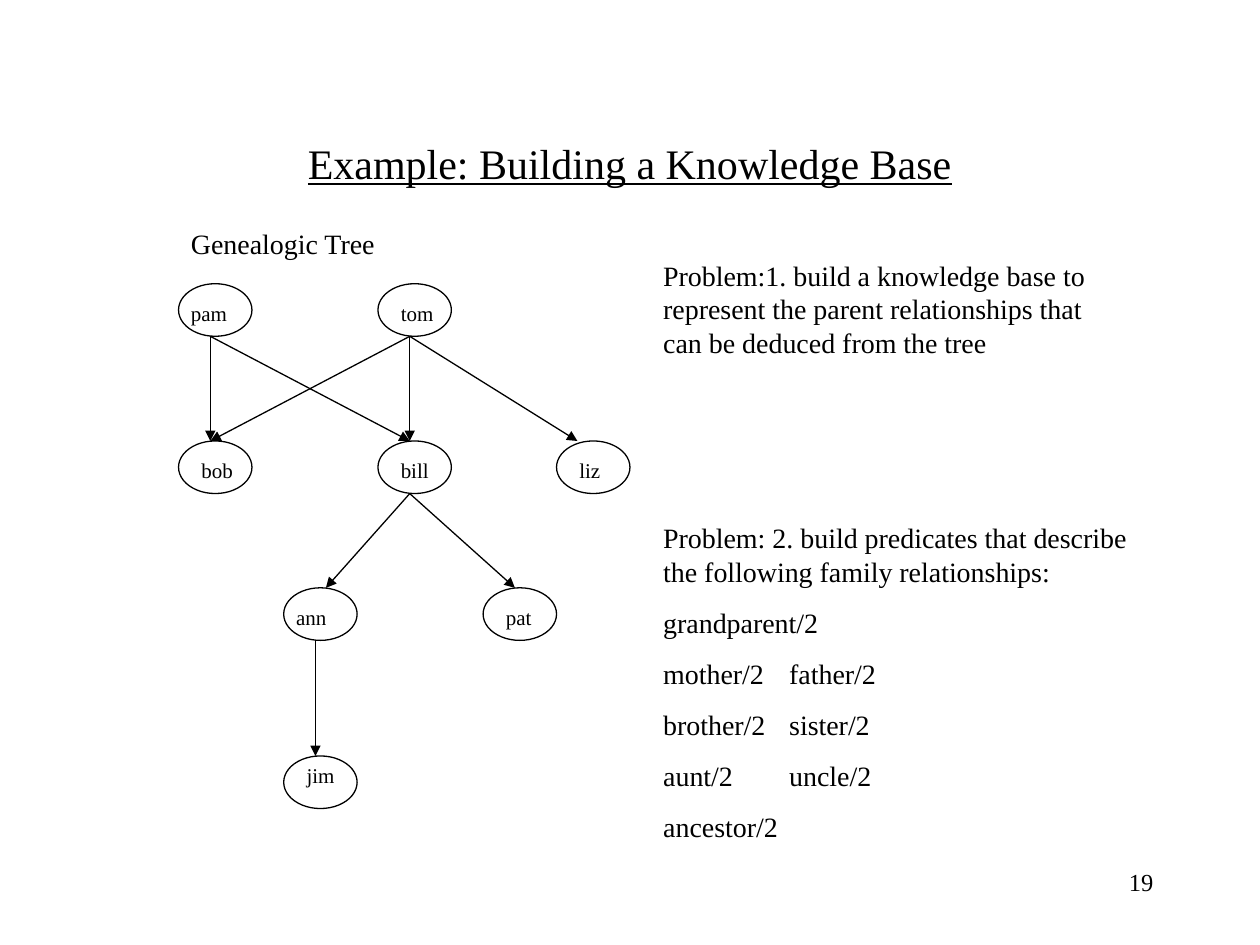
from dataclasses import dataclass

from lxml import etree
from pptx import Presentation
from pptx.dml.color import RGBColor
from pptx.enum.shapes import MSO_CONNECTOR, MSO_SHAPE
from pptx.enum.text import MSO_ANCHOR, MSO_AUTO_SIZE, PP_ALIGN
from pptx.oxml.ns import qn
from pptx.util import Cm, Pt

ELLIPSE = MSO_SHAPE.OVAL
STRAIGHT = MSO_CONNECTOR.STRAIGHT
MIDDLE = MSO_ANCHOR.MIDDLE
FIXED_SIZE = MSO_AUTO_SIZE.NONE
LEFT = PP_ALIGN.LEFT
CENTER = PP_ALIGN.CENTER
RIGHT = PP_ALIGN.RIGHT

COLORS = {"ink": "000000", "paper": "FFFFFF"}
FONT = "Times New Roman"
NODE_WIDTH, NODE_HEIGHT = 1.48, 1.06
LABEL_WIDTH, LABEL_HEIGHT = 1.27, 1.55
STEM = 0.64
LINE_WIDTH = 0.75


@dataclass(frozen=True)
class Person:
    name: str
    left: float
    top: float
    label_dx: float = 0.21
    label_dy: float = 0.21
    inlet: float = STEM


@dataclass(frozen=True)
class Passage:
    left: float
    top: float
    width: float
    height: float
    paragraphs: tuple[str, ...]
    size: float = 16
    align: PP_ALIGN = LEFT


GENERATIONS = (5.72, 8.89, 11.85, 15.24)

PEOPLE = (
    Person("pam", 3.6, GENERATIONS[0], label_dx=0),
    Person("tom", 7.62, GENERATIONS[0]),
    Person("bob", 3.6, GENERATIONS[1]),
    Person("bill", 7.62, GENERATIONS[1]),
    Person("liz", 11.22, GENERATIONS[1], inlet=0.42),
    Person("ann", 5.72, GENERATIONS[2], label_dx=0, inlet=0.85),
    Person("jim", 5.72, GENERATIONS[3], label_dy=0),
    Person("pat", 9.74, GENERATIONS[2]),
)

CHILDREN = {
    "pam": ("bob", "bill"),
    "tom": ("bob", "bill", "liz"),
    "bill": ("ann", "pat"),
    "ann": ("jim",),
}

PASSAGES = (
    Passage(3.6, 4.45, 8.26, 0.94, ("Genealogic Tree",)),
    Passage(13.12, 5.08, 9.74, 2.29, (
        "Problem:1. build a knowledge base to represent the parent "
        "relationships that can be deduced from the tree",
    )),
    Passage(13.12, 10.37, 9.95, 6.76, (
        "Problem: 2. build predicates that describe the following "
        "family relationships:",
        "grandparent/2",
        "mother/2\tfather/2",
        "brother/2\tsister/2",
        "aunt/2\tuncle/2",
        "ancestor/2",
    )),
    Passage(18.21, 17.36, 5.29, 1.27, ("19",), size=14, align=RIGHT),
)


def color(key: str) -> RGBColor:
    return RGBColor.from_string(COLORS[key])


def style_paragraph(paragraph, size: float, align: PP_ALIGN) -> None:
    paragraph.alignment = align
    paragraph.font.name = FONT
    paragraph.font.size = Pt(size)
    paragraph.font.color.rgb = color("ink")


def add_title(slide, text: str) -> None:
    title = slide.shapes.title
    title.left, title.top = Cm(1.9), Cm(1.69)
    title.width, title.height = Cm(21.59), Cm(3.18)
    frame = title.text_frame
    frame.text = text
    frame.auto_size = FIXED_SIZE
    frame.vertical_anchor = MIDDLE
    heading = frame.paragraphs[0]
    style_paragraph(heading, 24, CENTER)
    heading.font.underline = True


def add_passage(slide, passage: Passage) -> None:
    frame = slide.shapes.add_textbox(
        Cm(passage.left), Cm(passage.top), Cm(passage.width), Cm(passage.height)
    ).text_frame
    frame.word_wrap = True
    for index, text in enumerate(passage.paragraphs):
        paragraph = frame.add_paragraph() if index else frame.paragraphs[0]
        paragraph.text = text
        if index:
            paragraph.space_before = Pt(10)
        style_paragraph(paragraph, passage.size, passage.align)


def add_node(slide, person: Person) -> None:
    node = slide.shapes.add_shape(
        ELLIPSE, Cm(person.left), Cm(person.top), Cm(NODE_WIDTH), Cm(NODE_HEIGHT)
    )
    node.shadow.inherit = False
    node.fill.solid()
    node.fill.fore_color.rgb = color("paper")
    node.line.color.rgb = color("ink")
    node.line.width = Pt(LINE_WIDTH)


def add_label(slide, person: Person) -> None:
    add_passage(slide, Passage(
        person.left + person.label_dx, person.top + person.label_dy,
        LABEL_WIDTH, LABEL_HEIGHT, (person.name,), size=12,
    ))


def add_descent(slide, parent: Person, child: Person) -> None:
    arrow = slide.shapes.add_connector(
        STRAIGHT,
        Cm(parent.left + STEM), Cm(parent.top + NODE_HEIGHT),
        Cm(child.left + child.inlet), Cm(child.top),
    )
    arrow.line.color.rgb = color("ink")
    arrow.line.width = Pt(LINE_WIDTH)
    etree.SubElement(arrow.line._get_or_add_ln(), qn("a:tailEnd"), type="triangle")
    etree.SubElement(arrow._element.spPr, qn("a:effectLst"))


def main() -> None:
    presentation = Presentation()
    presentation.slide_width, presentation.slide_height = Cm(25.4), Cm(19.05)
    slide = presentation.slides.add_slide(presentation.slide_layouts[5])
    add_title(slide, "Example: Building a Knowledge Base")
    for person in PEOPLE:
        add_node(slide, person)
    family = {person.name: person for person in PEOPLE}
    for parent, children in CHILDREN.items():
        for child in children:
            add_descent(slide, family[parent], family[child])
    for passage in PASSAGES:
        add_passage(slide, passage)
    for person in PEOPLE:
        add_label(slide, person)
    presentation.save("out.pptx")


if __name__ == "__main__":
    main()
